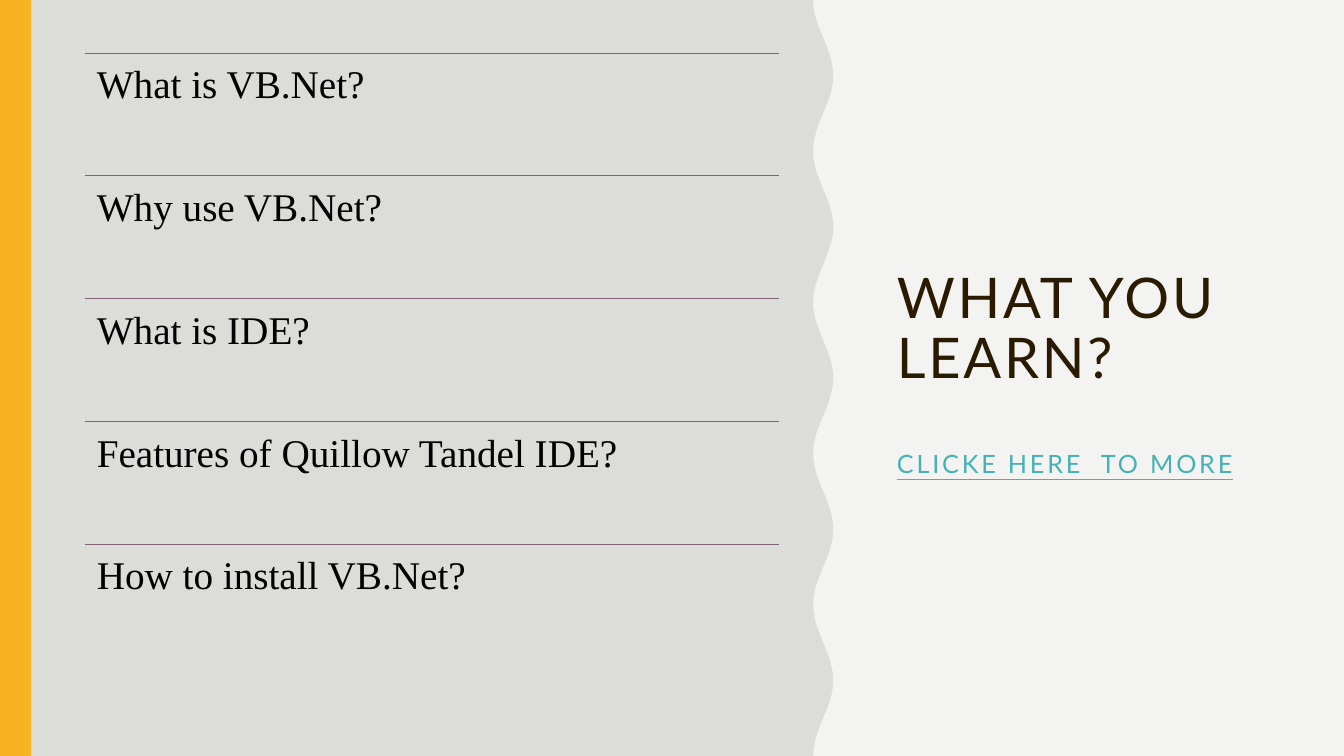
from math import cos, pi

from lxml.etree import SubElement
from pptx import Presentation
from pptx.dml.color import RGBColor
from pptx.enum.shapes import MSO_CONNECTOR, MSO_SHAPE
from pptx.enum.text import MSO_ANCHOR, PP_ALIGN
from pptx.oxml.ns import qn
from pptx.util import Inches, Pt

PAPER = RGBColor(0xF3, 0xF3, 0xF2)
STONE = RGBColor(0xDC, 0xDC, 0xD9)
GOLD = RGBColor(0xF8, 0xB3, 0x23)
BROWN = RGBColor(0x2A, 0x1A, 0x00)
TEAL = RGBColor(0x46, 0xB2, 0xB5)
MAUVE = RGBColor(0x82, 0x62, 0x76)
BLACK = RGBColor(0, 0, 0)

WIDE, HIGH = Inches(13.33), Inches(7.5)
WAVES, STEPS = 5, 24
TOPICS = (
    "What is VB.Net?",
    "Why use VB.Net?",
    "What is IDE?",
    "Features of Quillow Tandel IDE?",
    "How to install VB.Net?",
)


def share(left, top, width, height):
    """Turn shares of the slide into a box of lengths."""
    return int(left * WIDE), int(top * HIGH), int(width * WIDE), int(height * HIGH)


def paint(shape, color):
    """Give a shape a plain fill with no line or shadow."""
    shape.shadow.inherit = False
    shape.fill.solid()
    shape.fill.fore_color.rgb = color
    shape.line.fill.background()


def write(frame, text, first=True, font="Lato", size=18, color=BLACK,
          track=0, under=False, before=0):
    """Write one formatted paragraph into a text frame."""
    para = frame.paragraphs[0] if first else frame.add_paragraph()
    para.alignment = PP_ALIGN.LEFT
    para.line_spacing = 0.9
    para.space_before = Pt(before)
    run = para.add_run()
    run.text = text
    run.font.name = font
    run.font.size = Pt(size)
    run.font.color.rgb = color
    run.font.underline = under
    if track:
        run._r.get_or_add_rPr().set("spc", str(track * 100))


def add_text(slide, box, inset=(0.1, 0.05), anchor=MSO_ANCHOR.TOP):
    """Add a wrapping text box and return its frame."""
    frame = slide.shapes.add_textbox(*box).text_frame
    frame.word_wrap = True
    frame.vertical_anchor = anchor
    frame.margin_left = frame.margin_right = Inches(inset[0])
    frame.margin_top = frame.margin_bottom = Inches(inset[1])
    return frame


def add_panel(slide, box):
    """Draw the grey panel with a wavy right edge and a gold left bar."""
    left, top, width, height = box
    swing = int(0.0075 * WIDE)
    count = WAVES * STEPS
    edge = [
        (left + width - swing - int(swing * cos(2 * pi * i / STEPS)),
         top + height * i // count)
        for i in range(count + 1)
    ]
    shape = slide.shapes.build_freeform(left, top)
    shape.add_line_segments(edge + [(left, top + height)], close=True)
    paint(shape.convert_to_shape(), STONE)
    bar = slide.shapes.add_shape(MSO_SHAPE.RECTANGLE, left, top, Inches(0.31), height)
    paint(bar, GOLD)


def add_list(slide, box, topics):
    """Stack the topics in equal rows, each under a thin rule."""
    left, top, width, height = box
    row = height // len(topics)
    for i, topic in enumerate(topics):
        y = top + i * row
        rule = slide.shapes.add_connector(MSO_CONNECTOR.STRAIGHT, left, y, left + width, y)
        rule.line.color.rgb = MAUVE
        rule.line.width = Pt(0.5)
        SubElement(rule._element.spPr, qn("a:effectLst"))
        frame = add_text(slide, (left, y, width, row), inset=(0.12, 0.12))
        write(frame, topic, font="Times New Roman", size=28)


def add_title(slide, box):
    """Place the heading and the prompt below it."""
    frame = add_text(slide, box, anchor=MSO_ANCHOR.MIDDLE)
    write(frame, "WHAT YOU LEARN?", size=40, color=BROWN, track=2)
    write(frame, "CLICKE HERE  TO MORE", first=False, color=TEAL,
          track=2, under=True, before=43)


def main():
    """Build the slide and save it."""
    deck = Presentation()
    deck.slide_width, deck.slide_height = WIDE, HIGH
    slide = deck.slides.add_slide(deck.slide_layouts[6])
    slide.background.fill.solid()
    slide.background.fill.fore_color.rgb = PAPER
    add_panel(slide, share(0, 0, 0.62, 1))
    add_title(slide, share(0.66, 0.09, 0.3, 0.81))
    add_list(slide, share(0.063, 0.07, 0.517, 0.812), TOPICS)
    deck.save("out.pptx")


if __name__ == "__main__":
    main()
